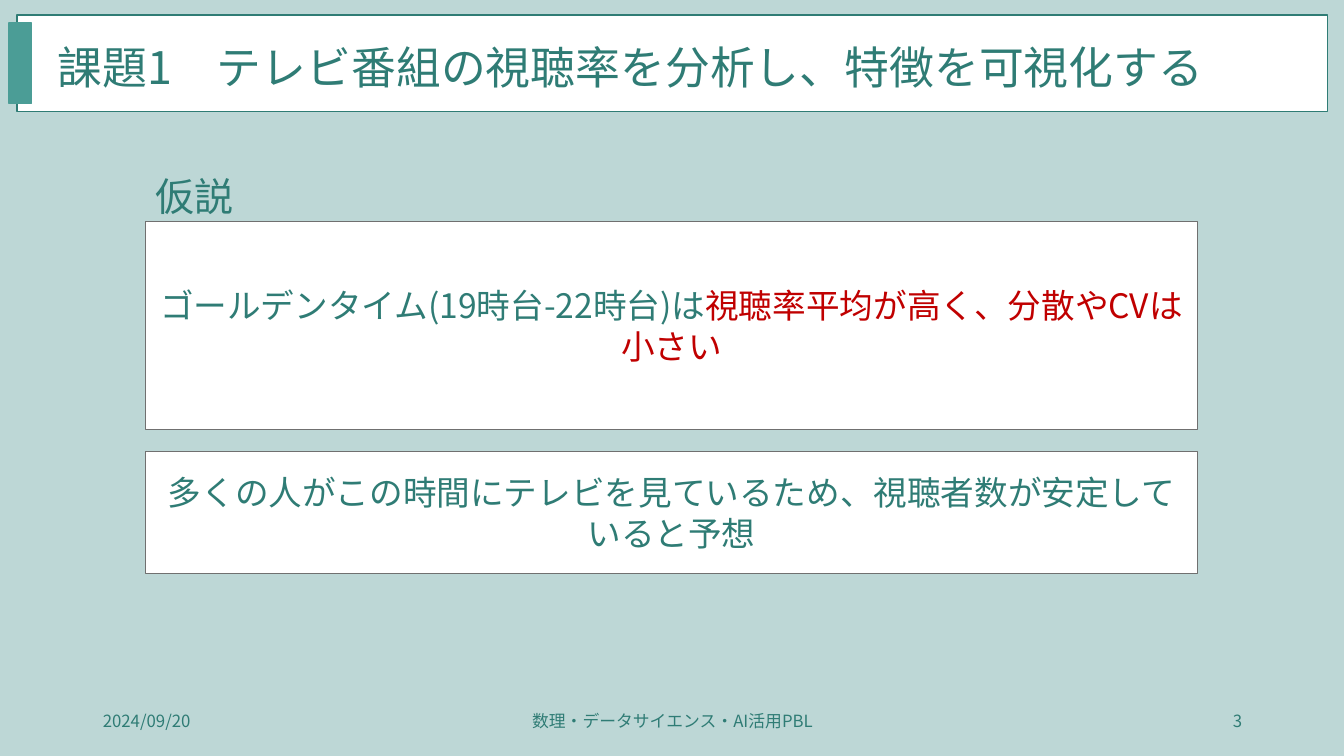
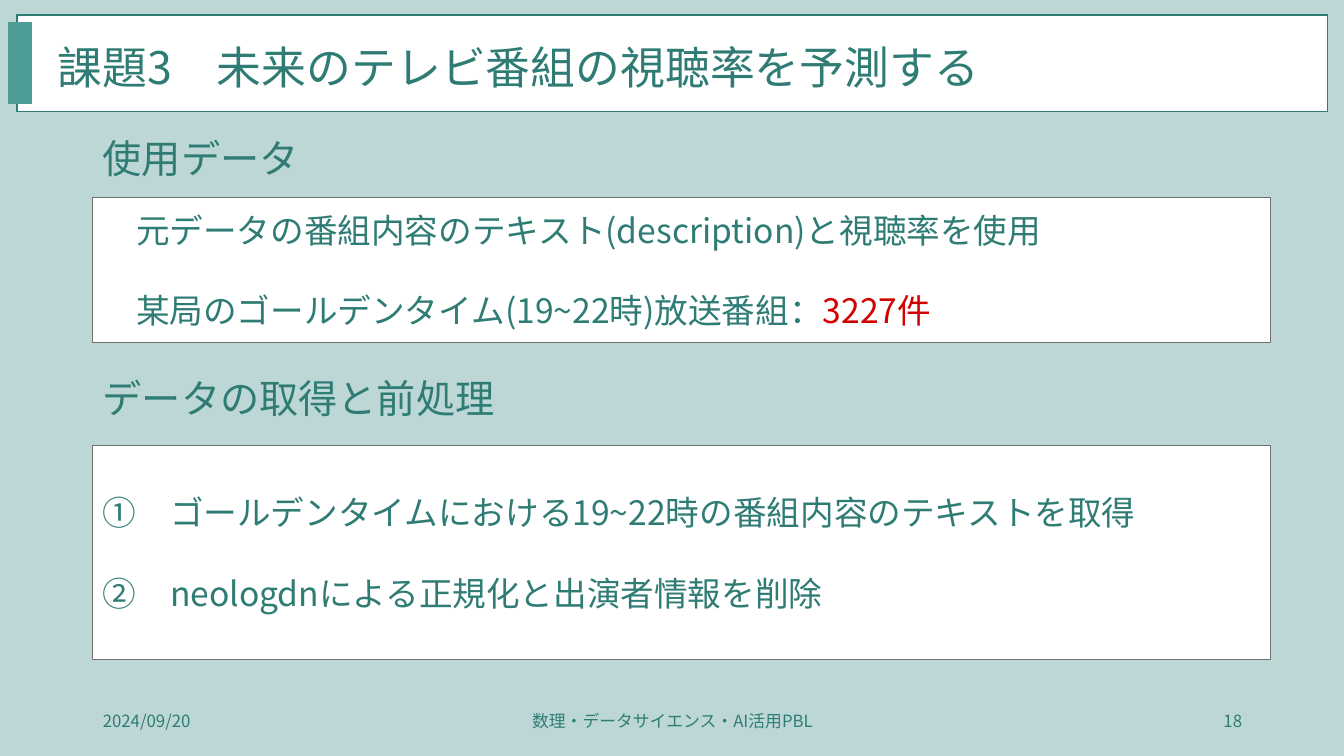
from copy import deepcopy
from dataclasses import dataclass

from lxml.etree import SubElement as sub
from pptx import Presentation
from pptx.dml.color import RGBColor
from pptx.enum.shapes import MSO_SHAPE as Geo, PP_PLACEHOLDER as Kind
from pptx.enum.text import MSO_ANCHOR as Anchor, MSO_AUTO_SIZE as Fit, PP_ALIGN as Align
from pptx.oxml.ns import qn
from pptx.util import Inches, Pt

# Shared look
WIDE, HIGH = 13.33, 7.5
FONT = "Noto Sans CJK JP"
PAPER, WHITE, INK, ACCENT, EDGE = "BDD7D6", "FFFFFF", "2F7C75", "4B9D96", "707070"
RED, BRIGHT = "C00000", "D20000"
LEAD = 1.2  # line pitch as a share of the type size
FOOT_TOP, FOOT_HIGH, SIDE = 6.95, 0.4, 0.92
HEAD_WIDE, HEAD_HIGH = 6.67, 0.57
DATE, COURSE = "2024/09/20", "数理・データサイエンス・AI活用PBL"
COMPARE = 4  # layout with a title and two pairs of heading and body


@dataclass
class Area:
    left: float
    top: float
    wide: float
    high: float


@dataclass
class Head:
    text: str
    top: float


@dataclass
class Panel:
    lines: list  # each line is a list of (text, colour) parts
    top: float
    high: float
    align: Align = Align.LEFT
    indent: float = 0


@dataclass
class Page:
    title: str
    number: int
    left: float
    wide: float
    heads: list
    panels: list


FEET = {
    Kind.DATE: (Area(SIDE, FOOT_TOP, 3, FOOT_HIGH), Align.LEFT),
    Kind.FOOTER: (Area(4.42, FOOT_TOP, 4.5, FOOT_HIGH), Align.CENTER),
    Kind.SLIDE_NUMBER: (Area(9.42, FOOT_TOP, 3, FOOT_HIGH), Align.RIGHT),
}

PAGES = [
    Page("課題1　テレビ番組の視聴率を分析し、特徴を可視化する", 3, 1.44, 10.44,
         [Head("仮説", 1.66)],
         [Panel([[("ゴールデンタイム(19時台-22時台)は", INK),
                  ("視聴率平均が高く、分散やCVは小さい", RED)]],
                2.2, 2.06, Align.CENTER),
          Panel([[("多くの人がこの時間にテレビを見ているため、視聴者数が安定していると予想", INK)]],
                4.48, 1.21, Align.CENTER)]),
    Page("課題3　未来のテレビ番組の視聴率を予測する", 18, SIDE, 11.68,
         [Head("使用データ", 1.28), Head("データの取得と前処理", 3.66)],
         [Panel([[("元データの番組内容のテキスト(description)と視聴率を使用", INK)],
                 [("某局のゴールデンタイム(19~22時)放送番組：", INK), ("3227件", BRIGHT)]],
                1.96, 1.44, indent=0.33),
          Panel([[("①　ゴールデンタイムにおける19~22時の番組内容のテキストを取得", INK)],
                 [("②　neologdnによる正規化と出演者情報を削除", INK)]],
                4.42, 2.12)]),
]


def tint(code: str) -> RGBColor:
    return RGBColor.from_string(code)


def place(shape, area: Area) -> None:
    shape.left, shape.top = Inches(area.left), Inches(area.top)
    shape.width, shape.height = Inches(area.wide), Inches(area.high)


def paint(shape, fill: str, line: str) -> None:
    shape.fill.solid()
    shape.fill.fore_color.rgb = tint(fill)
    shape.line.color.rgb = tint(line)
    shape.line.width = Pt(1)


def write(shape, lines: list, size: float, align=Align.LEFT, anchor=Anchor.TOP,
          indent: float = 0, gap: float = 0) -> None:
    """Fill a shape with lines made of (text, colour) parts."""
    frame = shape.text_frame
    frame.clear()
    frame.word_wrap, frame.auto_size = True, Fit.NONE
    frame.vertical_anchor = anchor
    for at, parts in enumerate(lines):
        para = frame.add_paragraph() if at else frame.paragraphs[0]
        para.alignment = align
        para.line_spacing = Pt(size * LEAD)
        para.space_before, para.space_after = Pt(gap if at else 0), Pt(0)
        props = para._p.get_or_add_pPr()
        props.set("marL", str(Inches(indent)))
        props.set("indent", "0")
        sub(props, qn("a:buNone"))
        for text, color in parts:
            run = para.add_run()
            run.text = text
            font = run.font
            font.name, font.size, font.bold = FONT, Pt(size), False
            font.color.rgb = tint(color)
            sub(run._r.get_or_add_rPr(), qn("a:ea")).set("typeface", FONT)


def setup(deck):
    """Set the background and the places of title and footers."""
    back = deck.slide_master.background.fill
    back.solid()
    back.fore_color.rgb = tint(PAPER)
    layout = deck.slide_layouts[COMPARE]
    for hold in layout.placeholders:
        kind = hold.placeholder_format.type
        if kind == Kind.TITLE:
            place(hold, Area(0.47, 0.34, 12.54, 0.64))
        elif kind in FEET:
            place(hold, FEET[kind][0])
    return layout


def band(slide, layout) -> None:
    """Draw the title band and move it to the layout."""
    for area, fill, line in ((Area(0.17, 0.15, 13, 0.96), WHITE, INK),
                             (Area(0.09, 0.23, 0.22, 0.8), ACCENT, ACCENT)):
        bar = slide.shapes.add_shape(Geo.RECTANGLE, 0, 0, 0, 0)
        place(bar, area)
        paint(bar, fill, line)
        bar.shadow.inherit = False
        layout.shapes.element.append(bar.element)


def feet(slide, layout, number: int) -> None:
    words = {Kind.DATE: DATE, Kind.FOOTER: COURSE, Kind.SLIDE_NUMBER: str(number)}
    for hold in layout.placeholders:
        kind = hold.placeholder_format.type
        if kind in FEET:
            slide.shapes.element.append(deepcopy(hold.element))
            foot = list(slide.shapes)[-1]
            write(foot, [[(words[kind], INK)]], 12, FEET[kind][1], Anchor.MIDDLE)


def build(deck, layout, page: Page):
    slide = deck.slides.add_slide(layout)
    write(slide.shapes.title, [[(page.title, INK)]], 32)
    holds = {hold.placeholder_format.idx: hold for hold in slide.placeholders}
    # Headings use slots 1 and 3, panels use slots 2 and 4
    for slot, head in zip((1, 3), page.heads):
        hold = holds.pop(slot)
        place(hold, Area(page.left, head.top, HEAD_WIDE, HEAD_HIGH))
        write(hold, [[(head.text, INK)]], 28)
    for slot, panel in zip((2, 4), page.panels):
        hold = holds.pop(slot)
        place(hold, Area(page.left, panel.top, page.wide, panel.high))
        paint(hold, WHITE, EDGE)
        write(hold, panel.lines, 24, panel.align, Anchor.MIDDLE, panel.indent,
              gap=24 * LEAD)
    for slot, hold in holds.items():
        if slot:  # unused body
            hold.element.getparent().remove(hold.element)
    feet(slide, layout, page.number)
    return slide


def main() -> None:
    deck = Presentation()
    deck.slide_width, deck.slide_height = Inches(WIDE), Inches(HIGH)
    layout = setup(deck)
    slides = [build(deck, layout, page) for page in PAGES]
    band(slides[0], layout)
    deck.save("out.pptx")


if __name__ == "__main__":
    main()
